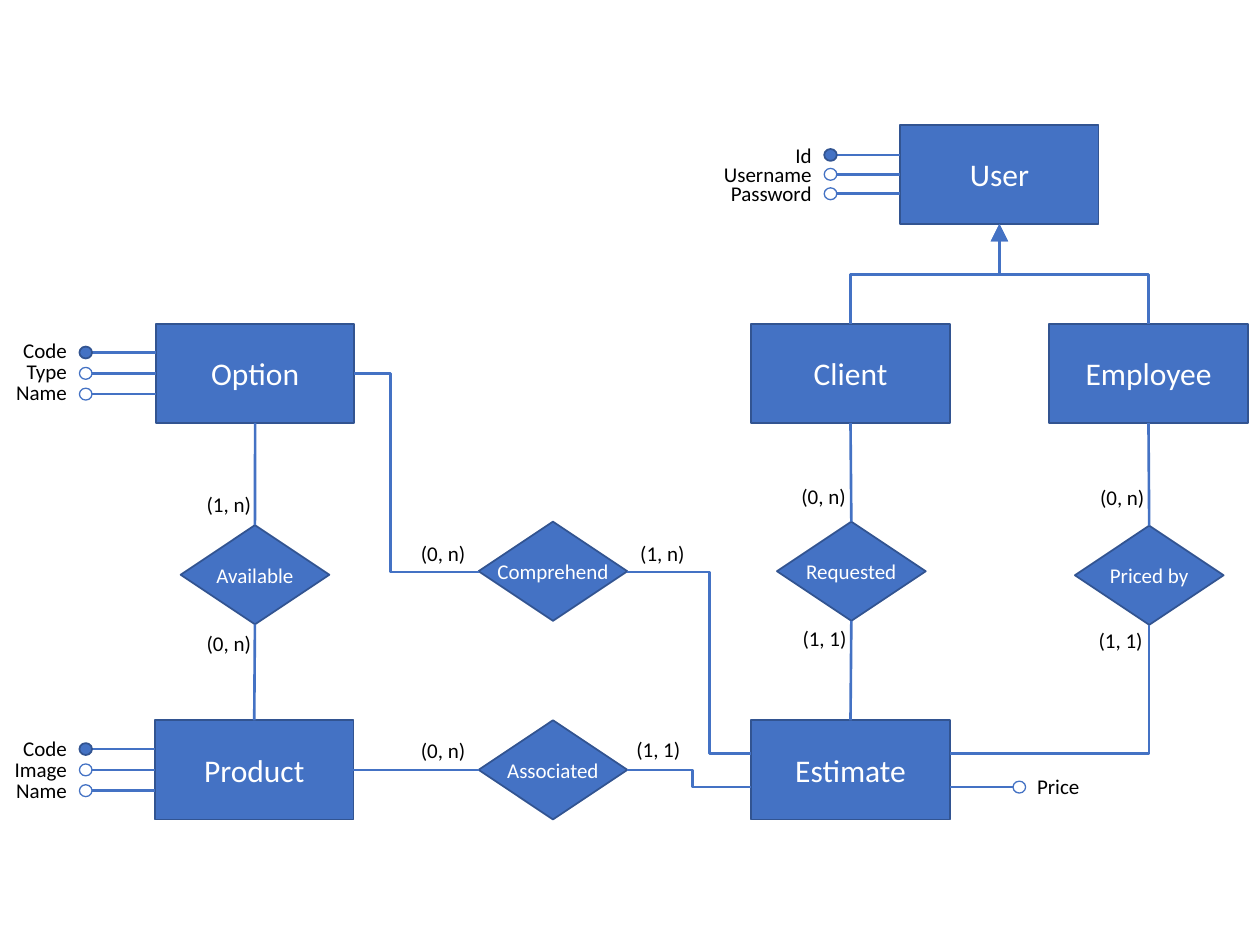
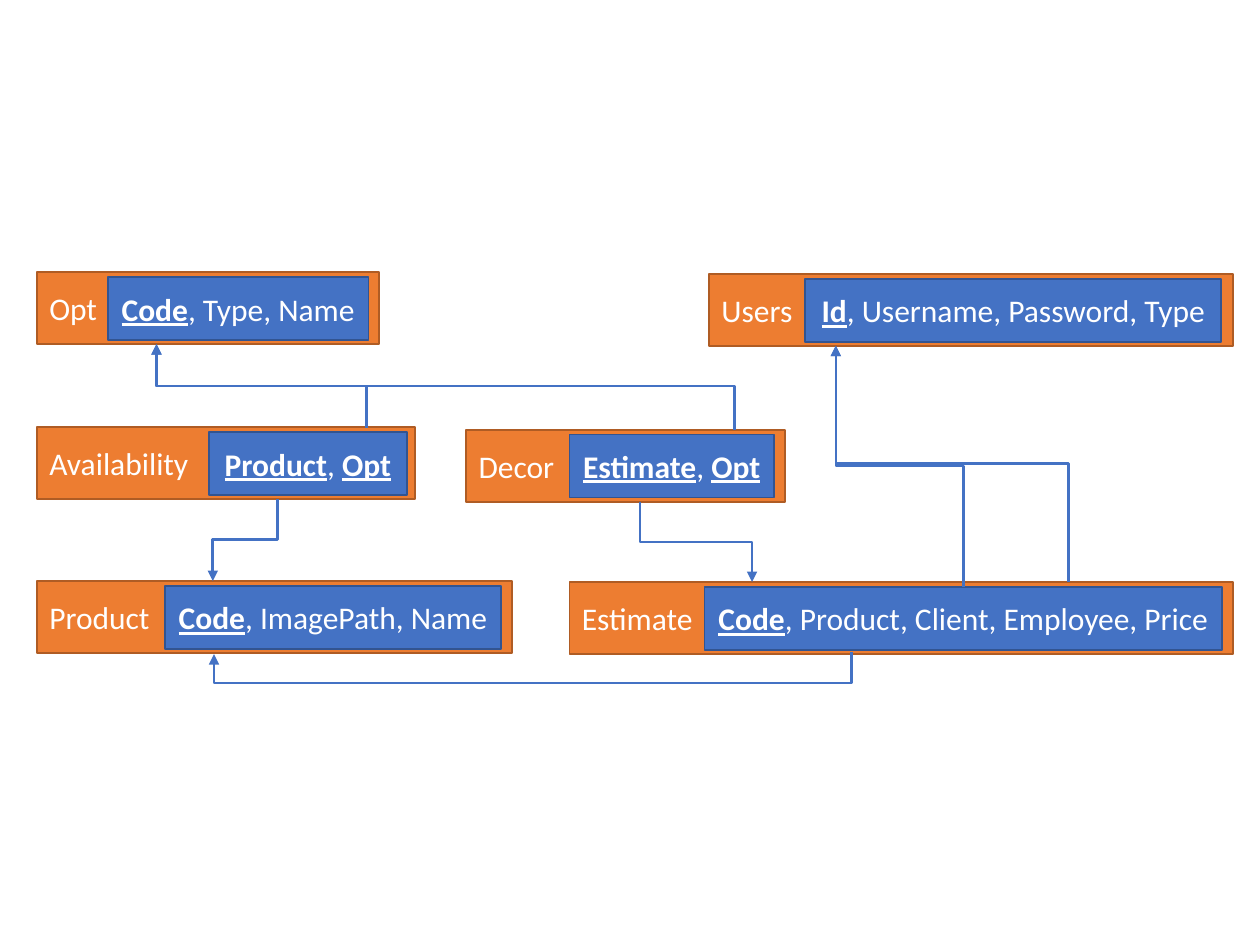
from dataclasses import dataclass

from lxml import etree
from pptx import Presentation
from pptx.dml.color import RGBColor
from pptx.enum.shapes import MSO_CONNECTOR, MSO_SHAPE
from pptx.enum.text import MSO_ANCHOR, PP_ALIGN
from pptx.oxml.ns import qn
from pptx.util import Pt

RECT, DIAMOND, OVAL = MSO_SHAPE.RECTANGLE, MSO_SHAPE.DIAMOND, MSO_SHAPE.OVAL
STRAIGHT, ELBOW = MSO_CONNECTOR.STRAIGHT, MSO_CONNECTOR.ELBOW
LEFT, CENTER, RIGHT = PP_ALIGN.LEFT, PP_ALIGN.CENTER, PP_ALIGN.RIGHT
MIDDLE = MSO_ANCHOR.MIDDLE
TOP_SIDE, LEFT_SIDE, BOTTOM_SIDE, RIGHT_SIDE = range(4)


@dataclass
class Theme:
    blue: RGBColor = RGBColor(0x44, 0x72, 0xC4)
    blue_edge: RGBColor = RGBColor(0x32, 0x54, 0x91)
    orange: RGBColor = RGBColor(0xED, 0x7D, 0x31)
    orange_edge: RGBColor = RGBColor(0xAF, 0x5C, 0x24)
    white: RGBColor = RGBColor(0xFF, 0xFF, 0xFF)
    black: RGBColor = RGBColor(0, 0, 0)
    font: str = "Calibri"
    large: int = 18
    small: int = 12
    link: float = 1.5
    edge: float = 1


theme = Theme()


def add_block(s, kind, x, y, w, h, runs=(), fill=theme.blue, edge=theme.blue_edge,
              size=theme.large, align=CENTER):
    """Add a filled shape; runs are (text, is_key) pairs."""
    sp = s.shapes.add_shape(kind, Pt(x), Pt(y), Pt(w), Pt(h))
    sp.shadow.inherit = False
    sp.fill.solid()
    sp.fill.fore_color.rgb = fill
    sp.line.color.rgb = edge
    sp.line.width = Pt(theme.edge)
    tf = sp.text_frame
    tf.word_wrap = kind != DIAMOND
    tf.vertical_anchor = MIDDLE
    p = tf.paragraphs[0]
    p.alignment = align
    p.font.name, p.font.size = theme.font, Pt(size)
    p.font.color.rgb = theme.white
    for text, is_key in runs:
        r = p.add_run()
        r.text = text
        if is_key:
            r.font.bold = r.font.underline = True
    return sp


def add_link(s, start=(0, 0), end=(0, 0), route="straight", bend=None, arrow=None):
    """Add a connector; route "h" or "v" leaves sideways or upright and turns at bend."""
    (x1, y1), (x2, y2) = start, end
    dx, dy = x2 - x1, y2 - y1
    if route == "v":
        # An upright elbow is a sideways one turned about its centre
        w, h = abs(dy), abs(dx)
        x, y = (x1 + x2 - w) / 2, (y1 + y2 - h) / 2
        c = s.shapes.add_connector(ELBOW, Pt(x), Pt(y), Pt(x + w), Pt(y + h))
        xfrm = c._element.spPr.find(qn("a:xfrm"))
        xfrm.set("rot", str((90 if dx * dy < 0 else 270) * 60000))
        xfrm.set("flipH", str(int(dx > 0)))
        xfrm.set("flipV", str(int(dy < 0)))
    else:
        kind = ELBOW if route == "h" else STRAIGHT
        c = s.shapes.add_connector(kind, Pt(x1), Pt(y1), Pt(x2), Pt(y2))
    spPr = c._element.spPr
    if bend is not None:
        share = (bend - y1) / dy if route == "v" else (bend - x1) / dx
        guides = spPr.find(qn("a:prstGeom")).find(qn("a:avLst"))
        etree.SubElement(guides, qn("a:gd"), name="adj1", fmla=f"val {round(share * 100000)}")
    c.line.color.rgb = theme.blue
    c.line.width = Pt(theme.link)
    if arrow:
        etree.SubElement(spPr.find(qn("a:ln")), qn("a:tailEnd"),
                         type="triangle", w=arrow, len=arrow)
    etree.SubElement(spPr, qn("a:effectLst"))
    return c


prs = Presentation()
prs.slide_width, prs.slide_height = Pt(720), Pt(540)
blank = prs.slide_layouts[6]

# Slide 1: entity-relationship diagram
s = prs.slides.add_slide(blank)

# Entities and relationships
ENTITY_W, RELATION_W, NODE_H = 113.4, 85, 56.7
nodes = {}
for name, x, y in [
    ("Employee", 599.6, 185), ("Client", 429.3, 185), ("User", 514.4, 71.3),
    ("Product", 88.6, 411.6), ("Option", 89.1, 185), ("Estimate", 429.3, 411.6),
]:
    nodes[name] = add_block(s, RECT, x, y, ENTITY_W, NODE_H, [(name, False)])
for name, x, y in [
    ("Available", 103.2, 300.1), ("Comprehend", 273.5, 298.1), ("Requested", 444, 298.1),
    ("Priced by", 614.2, 300.4), ("Associated", 273.5, 411.6),
]:
    nodes[name] = add_block(s, DIAMOND, x, y, RELATION_W, NODE_H, [(name, False)],
                            size=theme.small)

# Straight links between side middles
for a, a_side, b, b_side in [
    ("Option", BOTTOM_SIDE, "Available", TOP_SIDE),
    ("Available", BOTTOM_SIDE, "Product", TOP_SIDE),
    ("Product", RIGHT_SIDE, "Associated", LEFT_SIDE),
    ("Client", BOTTOM_SIDE, "Requested", TOP_SIDE),
    ("Requested", BOTTOM_SIDE, "Estimate", TOP_SIDE),
    ("Employee", BOTTOM_SIDE, "Priced by", TOP_SIDE),
]:
    c = add_link(s)
    c.begin_connect(nodes[a], a_side)
    c.end_connect(nodes[b], b_side)

# Elbow links
for start, end, route, bend, arrow in [
    ((273.5, 326.9), (202.5, 213.3), "h", 223.2, None),
    ((358.5, 326.9), (429.3, 430.5), "h", 405.3, None),
    ((358.5, 440), (429.3, 449.8), "h", 395.6, None),
    ((656.6, 357.1), (542.7, 430.5), "v", 430.5, None),
    ((486, 185), (571.1, 128), "v", 156.7, "lg"),
    ((656.2, 185), (571.1, 128), "v", 156.7, "lg"),
]:
    add_link(s, start, end, route, bend, arrow)

# Attributes: a dot, a link and a label each; the first is the key
DOT_W, DOT_H, LABEL_H, LABEL_GAP = 7.2, 6.8, 21.6, 7.2
dots, labels = [], []
for name, attributes, pitch, dot_x, label_w, rise in [
    ("User", ["Id", "Username", "Password"], 11.1, 471, 56, 10.9),
    ("Option", ["Code", "Type", "Name"], 11.9, 45.4, 38, 12.1),
    ("Product", ["Code", "Image", "Name"], 11.9, 45.4, 38, 11.3),
]:
    box = nodes[name]
    for i, attribute in enumerate(attributes):
        y = box.top.pt + NODE_H / 2 + (i - 1) * pitch
        dots.append((dot_x, y, i == 0))
        labels.append((attribute, dot_x - LABEL_GAP - label_w, y - rise, label_w, RIGHT))
        c = add_link(s, (dot_x + DOT_W, y), (box.left.pt, y))
        if i == 1:
            c.end_connect(box, LEFT_SIDE)
dots.append((578.9, 449.8, False))
labels.append(("Price", 592.6, 438.5, 38, LEFT))
add_link(s, (578.9, 449.8), (542.7, 449.8))
for x, y, is_key in dots:
    sp = add_block(s, OVAL, x, y - DOT_H / 2, DOT_W, DOT_H)
    if not is_key:
        sp.fill.fore_color.rgb = theme.white
        sp.line.color.rgb = theme.blue
        sp.line.width = Pt(0.75)

# Cardinalities
for text, x, y in [
    ("(0, n)", 457.9, 272.9), ("(0, n)", 628.6, 273.2), ("(0, n)", 240.5, 305.3),
    ("(0, n)", 240.5, 417.8), ("(0, n)", 118.1, 356.6), ("(1, n)", 118.1, 277.2),
    ("(1, n)", 365.8, 305.3), ("(1, 1)", 363.6, 417.4), ("(1, 1)", 458.6, 353.7),
    ("(1, 1)", 627.8, 354.8),
]:
    labels.append((text, x, y, 34, LEFT))
for text, x, y, w, align in labels:
    tf = s.shapes.add_textbox(Pt(x), Pt(y), Pt(w), Pt(LABEL_H)).text_frame
    tf.word_wrap = True
    tf.margin_left = tf.margin_right = 0
    p = tf.paragraphs[0]
    p.text, p.alignment = text, align
    p.font.name, p.font.size = theme.font, Pt(theme.small)
    p.font.color.rgb = theme.black

# Slide 2: relational schema
s = prs.slides.add_slide(blank)

# Tables: an orange band with the name, a blue field list on it
TABLE_H, FIELDS_H, FIELDS_DROP = 41.2, 36, 2.8
for name, x, y, w, fields_x, fields_w, fields in [
    ("Opt", 21.1, 155.5, 195.6, 61.6, 149, [("Code", True), (", Type, Name", False)]),
    ("Availability", 21.1, 244.1, 216.2, 119.3, 113.3,
     [("Product", True), (", ", False), ("Opt", True)]),
    ("Product", 21.1, 332, 271.6, 94.2, 192.2, [("Code", True), (", ImagePath, Name", False)]),
    ("Decor", 266.4, 245.5, 182.2, 325.4, 116.9,
     [("Estimate", True), (", ", False), ("Opt", True)]),
    ("Estimate", 325.4, 332.6, 379.4, 402.6, 295.8,
     [("Code", True), (", Product, Client, Employee, Price", False)]),
    ("Users", 405.2, 156.5, 299.5, 460.2, 237.6,
     [("Id", True), (", Username, Password, Type", False)]),
]:
    add_block(s, RECT, x, y, w, TABLE_H, [(name, False)], theme.orange, theme.orange_edge,
              align=LEFT)
    add_block(s, RECT, fields_x, y + FIELDS_DROP, fields_w, FIELDS_H, fields)

# Foreign keys
for start, end, bend in [
    ((550.6, 335.4), (477.6, 197.6), 266.4),
    ((610.5, 332.6), (477.6, 197.6), 265),
    ((486.6, 372.4), (122.3, 373.8), 390.4),
    ((158.5, 285.3), (121.6, 332), 308.4),
    ((419.8, 245.5), (89.4, 196.7), 220.6),
    ((209.4, 244.5), (89.4, 196.7), 220.6),
    ((365.8, 287), (429.8, 332.6), 309.8),
]:
    add_link(s, start, end, "v", bend, "med")

prs.save("out.pptx")
